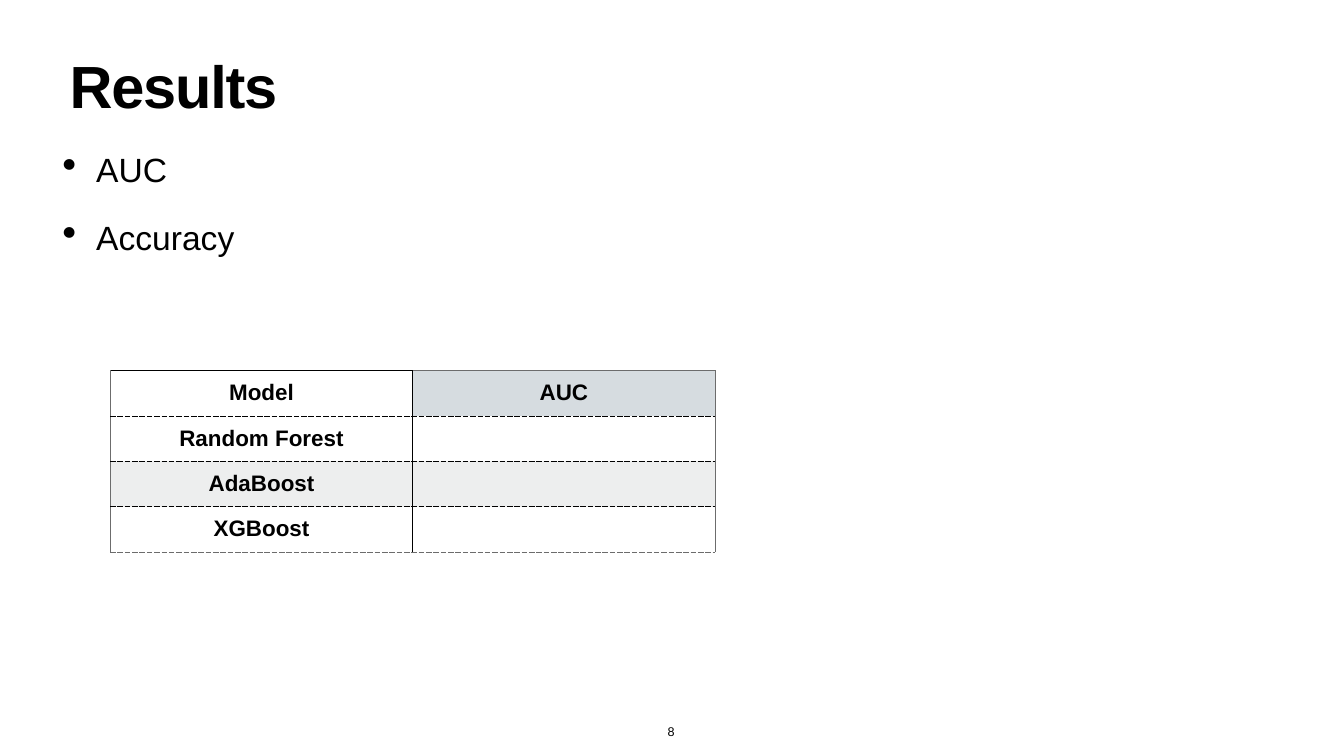
import pptx
import pptx.dml.color
import pptx.enum.text
import pptx.oxml
import pptx.oxml.ns
import pptx.util
from pptx.util import Inches

ALIGN = pptx.enum.text.PP_ALIGN
ANCHOR = pptx.enum.text.MSO_ANCHOR
BLACK, GREY = "000000", "6C6C6C"
WHITE, HEADER_FILL, BAND_FILL = "FFFFFF", "D6DCE0", "EDEEEE"


def color(value):
    return pptx.dml.color.RGBColor.from_string(value)


def add_xml(parent, tag, **attributes):
    return pptx.oxml.ns.qn(tag) and parent.makeelement(
        pptx.oxml.ns.qn(tag), attributes)


def append_xml(parent, tag, **attributes):
    child = add_xml(parent, tag, **attributes)
    parent.append(child)
    return child


class SlideBuilder:
    font = "Arial"
    inset = Inches(0.06)

    def __init__(self, slide):
        self.slide = slide

    def format_frame(self, frame, anchor=ANCHOR.TOP, wrap=True):
        frame.margin_left = frame.margin_right = self.inset
        frame.margin_top = frame.margin_bottom = self.inset
        frame.vertical_anchor = anchor
        frame.word_wrap = wrap
        frame.auto_size = pptx.enum.text.MSO_AUTO_SIZE.NONE

    def format_paragraph(self, paragraph, size, bold=False, align=ALIGN.LEFT):
        paragraph.alignment = align
        for run in paragraph.runs:
            run.font.name = self.font
            run.font.size = pptx.util.Pt(size)
            run.font.bold = bold
            run.font.color.rgb = color(BLACK)

    def title(self, text, left, top, width, height):
        title = self.slide.shapes.title
        title.left, title.top = Inches(left), Inches(top)
        title.width, title.height = Inches(width), Inches(height)
        title.text_frame.text = text
        self.format_frame(title.text_frame)
        paragraph = title.text_frame.paragraphs[0]
        paragraph.line_spacing = 0.8
        self.format_paragraph(paragraph, 85, bold=True)
        paragraph.runs[0].font._element.set("spc", "-170")

    def text_box(self, text, left, top, width, height, **frame_style):
        box = self.slide.shapes.add_textbox(
            Inches(left), Inches(top), Inches(width), Inches(height))
        box.text_frame.text = text
        self.format_frame(box.text_frame, **frame_style)
        return box.text_frame

    def bullets(self, items, left, top, width, height):
        frame = self.text_box("\n".join(items), left, top, width, height)
        for paragraph in frame.paragraphs:
            self.format_paragraph(paragraph, 48)
            paragraph.line_spacing = 0.9
            paragraph.space_before = pptx.util.Pt(45)
            properties = paragraph._p.get_or_add_pPr()
            properties.set("marL", str(Inches(0.67)))
            properties.set("indent", str(-Inches(0.67)))
            append_xml(properties, "a:buSzPct", val="123000")
            append_xml(properties, "a:buChar", char="•")

    def slide_number(self, text, left, top, width, height):
        frame = self.text_box(text, left, top, width, height,
                              anchor=ANCHOR.BOTTOM, wrap=False)
        self.format_paragraph(frame.paragraphs[0], 18, align=ALIGN.CENTER)

    def border(self, cell, side, line_color, dash="solid"):
        line = append_xml(cell._tc.get_or_add_tcPr(), f"a:ln{side}",
                          w=str(pptx.util.Pt(1)))
        fill = append_xml(line, "a:solidFill")
        append_xml(fill, "a:srgbClr", val=line_color)
        append_xml(line, "a:prstDash", val=dash)

    def table(self, rows, fills, left, top, column_width, row_height):
        row_count, column_count = len(rows), len(rows[0])
        table = self.slide.shapes.add_table(
            row_count, column_count, Inches(left), Inches(top),
            Inches(column_width * column_count),
            Inches(row_height * row_count)).table
        table.first_row = table.horz_banding = False
        for r, row in enumerate(rows):
            for c, text in enumerate(row):
                cell = table.cell(r, c)
                first, last = c == 0, c == column_count - 1
                top_row, bottom_row = r == 0, r == row_count - 1
                self.border(cell, "L", GREY if first else BLACK)
                self.border(cell, "R", GREY if last else BLACK)
                self.border(cell, "T", GREY if top_row and last else BLACK,
                            "solid" if top_row else "sysDash")
                self.border(cell, "B", GREY if bottom_row else BLACK, "sysDash")
                cell.fill.solid()
                cell.fill.fore_color.rgb = color(fills[r][c])
                cell.margin_left = cell.margin_right = self.inset
                cell.margin_top = cell.margin_bottom = self.inset
                cell.vertical_anchor = ANCHOR.MIDDLE
                cell.text_frame.text = text
                self.format_paragraph(cell.text_frame.paragraphs[0], 32,
                                      bold=True, align=ALIGN.CENTER)


def main():
    presentation = pptx.Presentation()
    presentation.slide_width = Inches(26.67)
    presentation.slide_height = Inches(15)
    title_only = presentation.slide_layouts[5]
    results = SlideBuilder(presentation.slides.add_slide(title_only))

    results.title("Results", 1.32, 1.18, 24.03, 1.57)
    results.bullets(["AUC", "Accuracy"], 1.18, 2.99, 24.03, 9.03)
    results.slide_number("8", 13.19, 14.31, 0.26, 0.41)
    results.table(
        rows=[("Model", "AUC"), ("Random Forest", ""),
              ("AdaBoost", ""), ("XGBoost", "")],
        fills=[(WHITE, HEADER_FILL), (WHITE, WHITE),
               (BAND_FILL, BAND_FILL), (WHITE, WHITE)],
        left=2.19, top=7.35, column_width=6, row_height=0.9)
    presentation.save("out.pptx")


if __name__ == "__main__":
    main()
